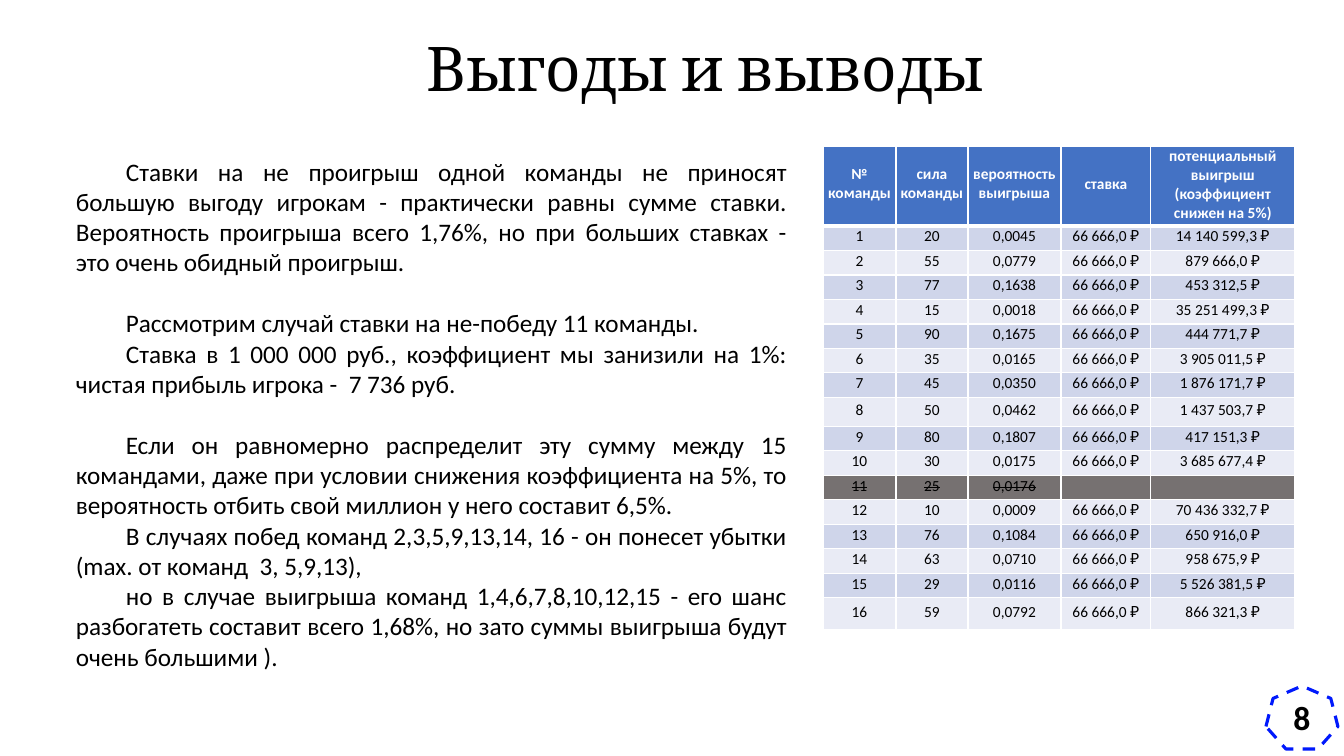
"""Build the slide on betting gains: title, argument, odds table and page badge."""
from lxml.etree import SubElement
from pptx import Presentation
from pptx.dml.color import RGBColor
from pptx.enum.dml import MSO_LINE
from pptx.enum.shapes import MSO_SHAPE
from pptx.enum.text import MSO_ANCHOR, PP_ALIGN
from pptx.oxml.ns import qn
from pptx.util import Emu, Pt

TITLE = "Выгоды и выводы"
PAGE = "8"
STAKE = "66 666,0 ₽"
OUT = "11"

BODY = [
    ("Ставки на не проигрыш одной команды не приносят большую выгоду игрокам - практически "
     "равны сумме ставки. Вероятность проигрыша всего 1,76%, но при больших ставках - "
     "это очень обидный проигрыш.", False),
    ("Рассмотрим случай ставки на не-победу 11 команды.", True),
    ("Ставка в 1 000 000 руб., коэффициент мы занизили на 1%: "
     "чистая прибыль игрока -  7 736 руб.", False),
    ("Если он равномерно распределит эту сумму между 15 командами, даже при условии "
     "снижения коэффициента на 5%, то вероятность отбить свой миллион у него составит 6,5%.", True),
    ("В случаях побед команд 2,3,5,9,13,14, 16 - он понесет убытки "
     "(max. от команд  3, 5,9,13),", False),
    ("но в случае выигрыша команд 1,4,6,7,8,10,12,15 - его шанс разбогатеть составит "
     "всего 1,68%, но зато суммы выигрыша будут очень большими ).", False),
]

HEAD = ("№\nкоманды", "сила команды", "вероятность\nвыигрыша", "ставка",
        "потенциальный выигрыш\n(коэффициент\nснижен на 5%)")
TEAMS = [
    ("1", "20", "0,0045", STAKE, "14 140 599,3 ₽"),
    ("2", "55", "0,0779", STAKE, "879 666,0 ₽"),
    ("3", "77", "0,1638", STAKE, "453 312,5 ₽"),
    ("4", "15", "0,0018", STAKE, "35 251 499,3 ₽"),
    ("5", "90", "0,1675", STAKE, "444 771,7 ₽"),
    ("6", "35", "0,0165", STAKE, "3 905 011,5 ₽"),
    ("7", "45", "0,0350", STAKE, "1 876 171,7 ₽"),
    ("8", "50", "0,0462", STAKE, "1 437 503,7 ₽"),
    ("9", "80", "0,1807", STAKE, "417 151,3 ₽"),
    ("10", "30", "0,0175", STAKE, "3 685 677,4 ₽"),
    (OUT, "25", "0,0176", "", ""),
    ("12", "10", "0,0009", STAKE, "70 436 332,7 ₽"),
    ("13", "76", "0,1084", STAKE, "650 916,0 ₽"),
    ("14", "63", "0,0710", STAKE, "958 675,9 ₽"),
    ("15", "29", "0,0116", STAKE, "5 526 381,5 ₽"),
    ("16", "59", "0,0792", STAKE, "866 321,3 ₽"),
]
WIDTHS = (73, 72, 93, 90, 144)
TALL = {0: 79, 8: 29, 16: 32}
ROW = 24

THEME = {
    "ink": "000000", "white": "FFFFFF", "head": "4472C4", "odd": "CFD5EA",
    "even": "E9EBF5", "out": "767171", "badge": "0019FC",
    "title": 44, "body": 18, "cell": 11, "page": 24,
    "serif": "Cambria", "sans": "Calibri",
}


def px(count):
    return Emu(round(count * 914400 / 100.8))


def tint(name):
    return RGBColor.from_string(THEME[name])


def put(par, text, size="body", color="ink", font="sans", bold=False, strike=False,
        align=PP_ALIGN.CENTER, indent=0, gap=0):
    par.alignment = align
    par.space_before = Pt(gap)
    if indent:
        par._p.get_or_add_pPr().set("indent", str(px(indent)))
    par.text = text
    points = str(THEME[size] * 100)
    for run in par.runs:
        face = run.font
        face.name, face.size, face.bold = THEME[font], Pt(THEME[size]), bold
        face.color.rgb = tint(color)
        if strike:
            run._r.get_or_add_rPr().set("strike", "sngStrike")
    for rift in par._p.findall(qn("a:br")):
        SubElement(rift, qn("a:rPr"), sz=points)
    if not text:
        SubElement(par._p, qn("a:endParaRPr"), sz=points)


def edge(cell, top, base):
    props = cell._tc.get_or_add_tcPr()
    for side, width in (("L", 1), ("R", 1), ("T", top), ("B", base)):
        line = SubElement(props, qn("a:ln" + side), w=str(Pt(width)))
        fill = SubElement(line, qn("a:solidFill"))
        SubElement(fill, qn("a:srgbClr"), val=THEME["white"])


def box(slide, *place):
    frame = slide.shapes.add_textbox(*map(px, place)).text_frame
    frame.word_wrap = True
    return frame


def add_odds(slide):
    rows = [HEAD] + TEAMS
    highs = [TALL.get(n, ROW) for n in range(len(rows))]
    area = map(px, (823, 146, sum(WIDTHS), sum(highs)))
    table = slide.shapes.add_table(len(rows), len(HEAD), *area).table
    for col, width in zip(table.columns, WIDTHS):
        col.width = px(width)
    for n, (row, high) in enumerate(zip(rows, highs)):
        table.rows[n].height = px(high)
        first, out = n == 0, row[0] == OUT
        shade = "head" if first else "out" if out else "odd" if n % 2 else "even"
        for cell, text in zip(table.rows[n].cells, row):
            edge(cell, 3 if n == 1 else 1, 3 if first else 1)
            cell.fill.solid()
            cell.fill.fore_color.rgb = tint(shade)
            cell.vertical_anchor = MSO_ANCHOR.MIDDLE
            cell.margin_left = cell.margin_right = cell.margin_top = px(1)
            cell.margin_bottom = px(5)
            put(cell.text_frame.paragraphs[0], text, size="cell",
                color="white" if first else "ink", bold=first, strike=out)


def add_badge(slide):
    badge = slide.shapes.add_shape(MSO_SHAPE.HEPTAGON, *map(px, (1266, 686, 72, 63)))
    badge.shadow.inherit = False
    badge.fill.solid()
    badge.fill.fore_color.rgb = tint("white")
    badge.line.color.rgb = tint("badge")
    badge.line.width = Pt(2.25)
    badge.line.dash_style = MSO_LINE.DASH
    badge.text_frame.vertical_anchor = MSO_ANCHOR.MIDDLE
    put(badge.text_frame.paragraphs[0], PAGE, size="page", bold=True)


def main():
    deck = Presentation()
    deck.slide_width, deck.slide_height = px(1344), px(756)
    slide = deck.slides.add_slide(deck.slide_layouts[6])
    put(box(slide, 193, 25, 1025, 85).paragraphs[0], TITLE, size="title", font="serif")
    frame = box(slide, 66, 151, 731, 528)
    for n, (text, apart) in enumerate(BODY):
        par = frame.add_paragraph() if n else frame.paragraphs[0]
        put(par, text, align=PP_ALIGN.JUSTIFY, indent=50, gap=22 if apart else 0)
    add_odds(slide)
    add_badge(slide)
    deck.save("out.pptx")


if __name__ == "__main__":
    main()
